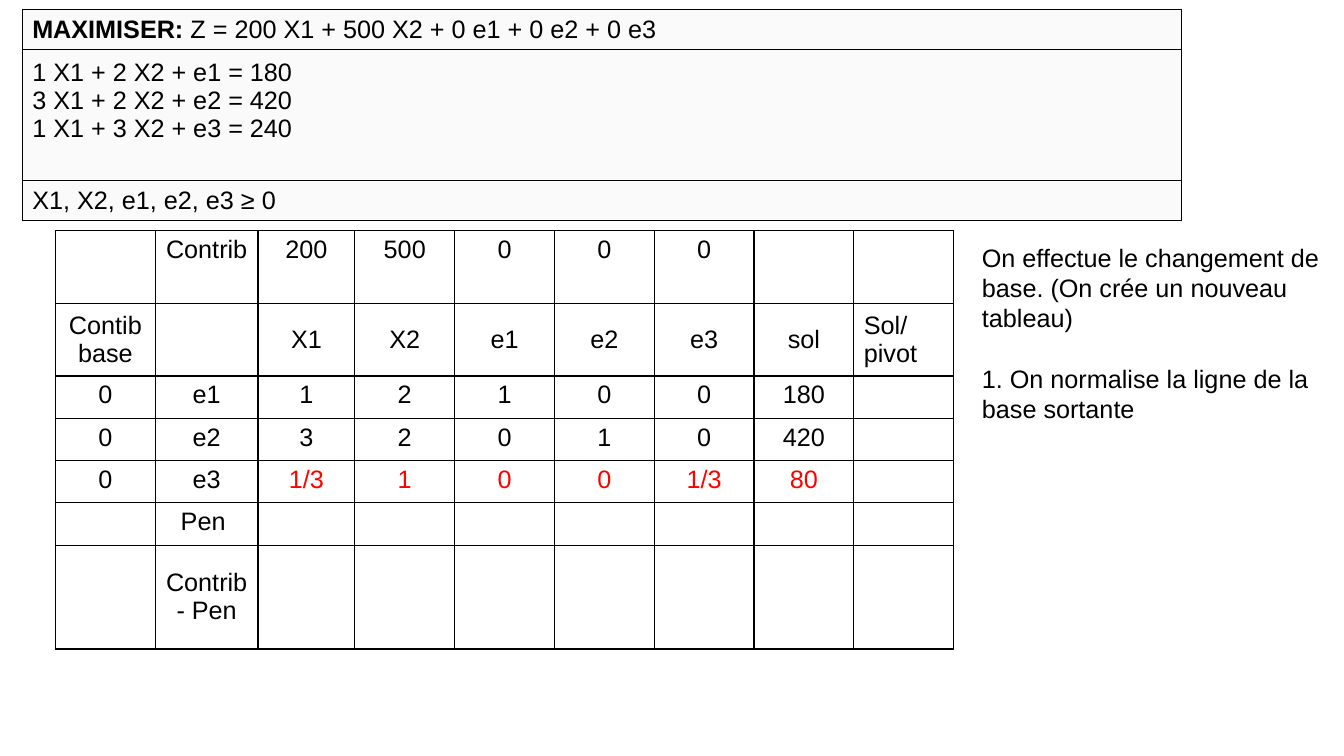
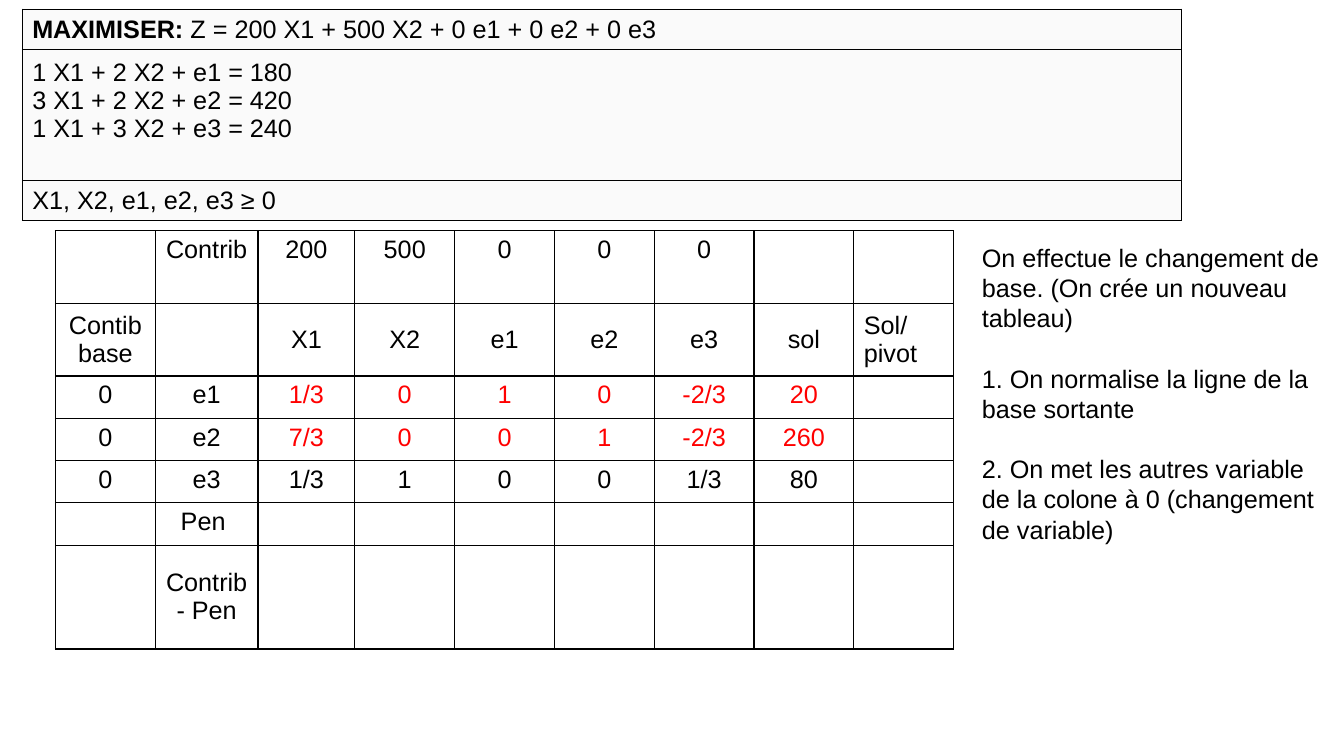
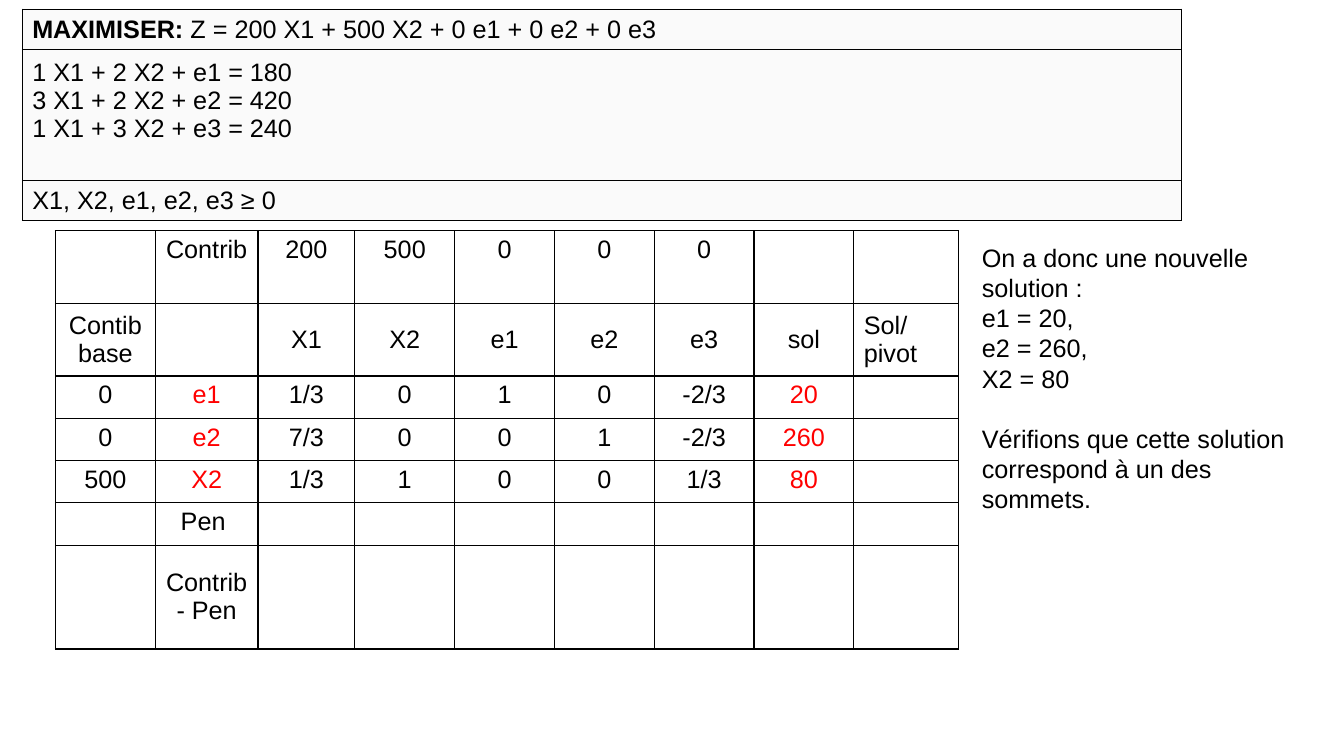
import dataclasses

import pptx
import pptx.dml.color
import pptx.enum.text
import pptx.oxml.ns
import pptx.util
from lxml import etree

Inches = pptx.util.Inches
Pt = pptx.util.Pt
Align = pptx.enum.text.PP_ALIGN
Anchor = pptx.enum.text.MSO_ANCHOR
qn = pptx.oxml.ns.qn


@dataclasses.dataclass(frozen=True)
class Theme:
    font: str = "Arial"
    size: float = 18
    ink: str = "000000"
    red: str = "FF0000"
    pale: str = "FAFAFA"
    thin: float = 0.75
    line: float = 0.96
    lead: float = 21.6


THEME = Theme()

# Text shared by all slides
GOAL = ("MAXIMISER: ", "Z = 200 X1 + 500 X2 + 0 e1 + 0 e2 + 0 e3")
LIMITS = "1 X1 + 2 X2 + e1 = 180\n3 X1 + 2 X2 + e2 = 420\n1 X1 + 3 X2 + e3 = 240"
SIGNS = "X1, X2, e1, e2, e3 ≥ 0"
HEAD = [
    ["", "Contrib", "200", "500", "0", "0", "0", "", ""],
    ["Contib base", "", "X1", "X2", "e1", "e2", "e3", "sol", "Sol/pivot"],
]
FOOT = [["", "Pen "], ["", "Contrib - Pen"]]
CHANGE = "On effectue le changement de base. (On crée un nouveau tableau)"
NORM = "1. On normalise la ligne de la base sortante"
ZERO = "2. On met les autres variable de la colone à 0 (changement de variable)"
CHECK = "Vérifions que cette solution correspond à un des sommets."

# Table grid
WIDTHS = [0.99, 1.02, 0.96] + [0.99] * 6
HEIGHTS = [0.72, 0.72] + [0.42] * 4 + [1.03]
MID_ROWS = (1, 6)
VALUES = range(2, 8)


def style(part, color=THEME.ink, bold=False):
    """Format the runs of one paragraph."""
    for run in part.runs:
        run.font.name = THEME.font
        run.font.size = Pt(THEME.size)
        run.font.bold = bold
        run.font.color.rgb = pptx.dml.color.RGBColor.from_string(color)


def border(cell, width):
    """Draw the four edges of a cell, ahead of its fill."""
    props = cell._tc.get_or_add_tcPr()
    for spot, side in enumerate(("lnL", "lnR", "lnT", "lnB")):
        edge = etree.Element(qn("a:" + side), w=str(Pt(width)))
        fill = etree.SubElement(edge, qn("a:solidFill"))
        etree.SubElement(fill, qn("a:srgbClr"), val=THEME.ink)
        props.insert(spot, edge)


def add_grid(slide, left, top, widths, heights, line, fill=None):
    """Add a plain table with ruled cells."""
    frame = slide.shapes.add_table(
        len(heights), len(widths), Inches(left), Inches(top),
        Inches(sum(widths)), Inches(sum(heights)))
    grid = frame.table
    grid.first_row = grid.horz_banding = False
    for col, width in zip(grid.columns, widths):
        col.width = Inches(width)
    for row, height in zip(grid.rows, heights):
        row.height = Inches(height)
    for cell in grid.iter_cells():
        if fill:
            cell.fill.solid()
            cell.fill.fore_color.rgb = pptx.dml.color.RGBColor.from_string(fill)
        else:
            cell.fill.background()
        border(cell, line)
    return grid


def add_model(slide):
    """Add the table that states the problem."""
    grid = add_grid(slide, 0.22, 0.09, [11.5], [0.4, 1.3, 0.4],
                    THEME.thin, THEME.pale)
    for cell, text in zip(grid.iter_cells(), ("".join(GOAL), LIMITS, SIGNS)):
        cell.vertical_anchor = Anchor.MIDDLE
        cell.text_frame.text = text
        for part in cell.text_frame.paragraphs:
            style(part)
    # Bold label in front of the goal
    goal = grid.cell(0, 0).text_frame.paragraphs[0]
    goal.text = GOAL[0]
    goal.add_run().text = GOAL[1]
    style(goal)
    goal.runs[0].font.bold = True
    # Limits start at the top of their row
    limits = grid.cell(1, 0)
    limits.vertical_anchor = Anchor.TOP
    limits.margin_top = Inches(0.09)


def add_simplex(slide, body, red_rows, red_cols, last):
    """Add the simplex table, with its new values in red."""
    grid = add_grid(slide, 0.55, 2.29, WIDTHS[:-1] + [last], HEIGHTS, THEME.line)
    for r, row in enumerate(HEAD + body + FOOT):
        for c, text in enumerate(row):
            if not text:
                continue
            cell = grid.cell(r, c)
            cell.vertical_anchor = Anchor.MIDDLE if r in MID_ROWS else Anchor.TOP
            part = cell.text_frame.paragraphs[0]
            part.text = text
            part.alignment = Align.LEFT if c == 8 else Align.CENTER
            red = r in red_rows and c in red_cols
            style(part, THEME.red if red else THEME.ink)


def add_notes(slide, blocks):
    """Add the side text; a gap of one line parts the blocks."""
    box = slide.shapes.add_textbox(
        Inches(9.64), Inches(2.35), Inches(3.61), Inches(3.65))
    frame = box.text_frame
    frame.word_wrap = True
    frame.text = "\n".join(line for block in blocks for line in block)
    firsts = [n == 0 for block in blocks for n in range(len(block))]
    for spot, (part, first) in enumerate(zip(frame.paragraphs, firsts)):
        part.line_spacing = Pt(THEME.lead)
        if first and spot:
            part.space_before = Pt(THEME.lead)
        style(part)


def main():
    deck = pptx.Presentation()
    deck.slide_width, deck.slide_height = Inches(13.33), Inches(7.5)

    # Rows of each step, red rows, red columns, last width, side text
    steps = [
        (["0 e1 1 2 1 0 0 180", "0 e2 3 2 0 1 0 420", "0 e3 1/3 1 0 0 1/3 80"],
         (4,), VALUES, 0.99, [[CHANGE], [NORM]]),
        (["0 e1 1/3 0 1 0 -2/3 20", "0 e2 7/3 0 0 1 -2/3 260",
          "0 e3 1/3 1 0 0 1/3 80"],
         (2, 3), VALUES, 0.99, [[CHANGE], [NORM], [ZERO]]),
        (["0 e1 1/3 0 1 0 -2/3 20", "0 e2 7/3 0 0 1 -2/3 260",
          "500 X2 1/3 1 0 0 1/3 80"],
         (2, 3, 4), (1, 7), 1.04,
         [["On a donc une nouvelle solution :", "e1 = 20,", "e2 = 260,", "X2 = 80"],
          [CHECK]]),
    ]
    for rows, red_rows, red_cols, last, blocks in steps:
        slide = deck.slides.add_slide(deck.slide_layouts[6])
        add_model(slide)
        add_simplex(slide, [row.split() for row in rows], red_rows, red_cols, last)
        add_notes(slide, blocks)

    deck.save("out.pptx")


if __name__ == "__main__":
    main()
